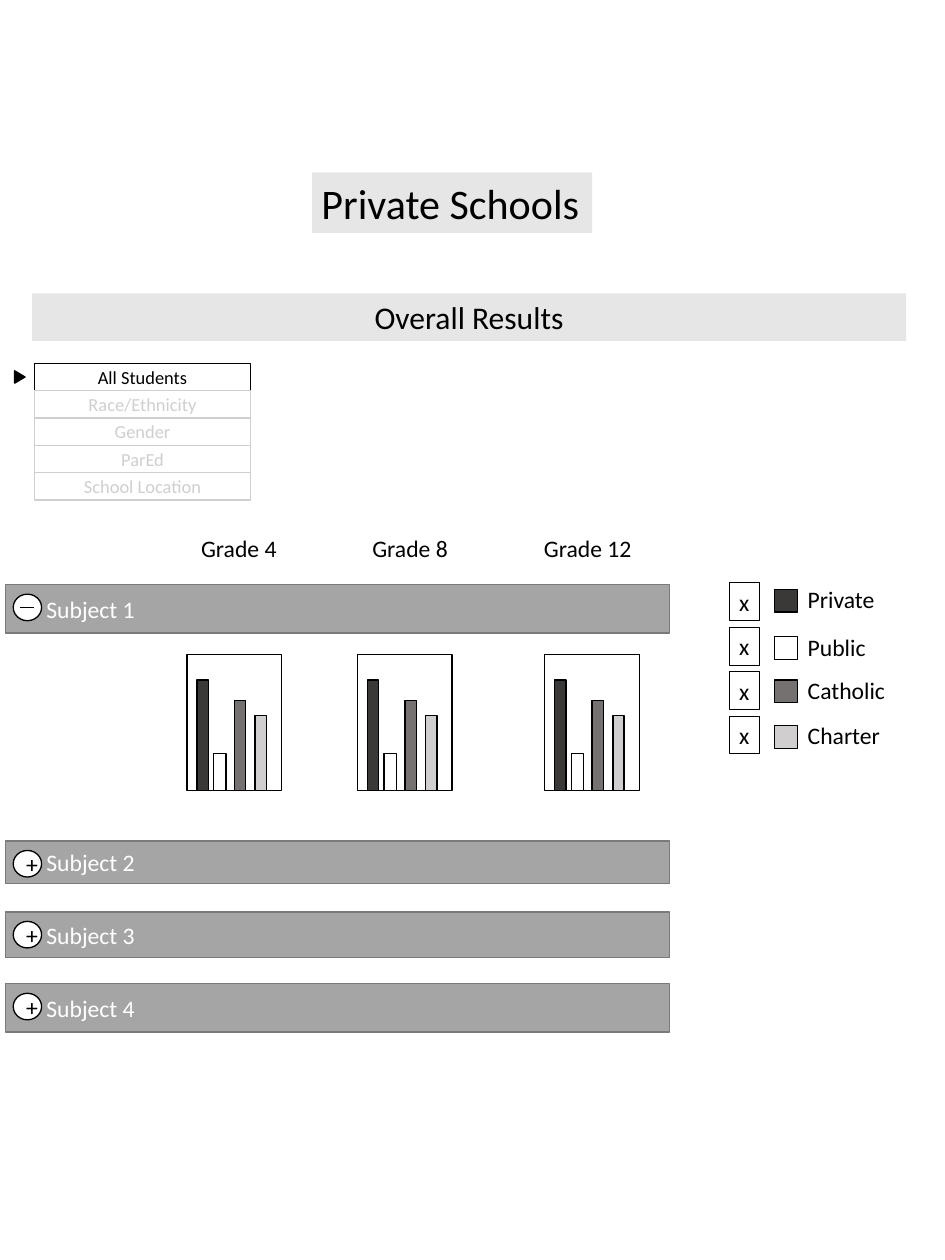
"""Build the Private Schools results dashboard slide."""
from pptx import Presentation
from pptx.dml.color import RGBColor
from pptx.enum.shapes import MSO_CONNECTOR, MSO_SHAPE as SHAPE
from pptx.enum.text import MSO_ANCHOR as ANCHOR, PP_ALIGN as ALIGN
from pptx.oxml import parse_xml
from pptx.oxml.ns import nsdecls
from pptx.util import Pt

BLACK, WHITE = "000000", "FFFFFF"
BANNER, MUTED, SUBJECT, SUBJECT_EDGE = "E7E6E6", "D0CECE", "A5A5A5", "7A7A7A"

GRADES = [("Grade 4", 153, 142.4), ("Grade 8", 283.4, 272.2), ("Grade 12", 414, 414.7)]
SUBJECTS = [("Subject 1", 445, 36.7), ("Subject 2", 640.1, 32.4),
            ("Subject 3", 694.1, 34.6), ("Subject 4", 748.8, 36.7)]
STUDENT_GROUPS = ["All Students", "Race/Ethnicity", "Gender", "ParEd", "School Location"]
SCHOOL_TYPES = [
    {"name": "Private", "color": "3B3838", "top": 448.6, "bar": (7.5, 8.6, 84.2)},
    {"name": "Public", "color": WHITE, "top": 484.6, "bar": (20.2, 9.4, 28.1)},
    {"name": "Catholic", "color": "767171", "top": 517.7, "bar": (36, 8.6, 68.4)},
    {"name": "Charter", "color": MUTED, "top": 552.2, "bar": (51.8, 8.6, 56.9)},
]
MENU_LEFT, MENU_TOP, MENU_STEP = 26.4, 276.5, 20.8
FRAME_TOP, FRAME_WIDTH, FRAME_HEIGHT = 498.2, 72, 103.5
CHECK_TOP, CHECK_STEP = 443.7, 33.8


def rgb(color):
    """Turn a hex string into a colour."""
    return RGBColor.from_string(color)


def write(shape, text, size, color=BLACK, align=ALIGN.LEFT, anchor=ANCHOR.MIDDLE,
          inset=7.2, right=7.2, wrap=True):
    """Put one formatted line of text into a shape."""
    frame = shape.text_frame
    frame.text = text
    frame.word_wrap = wrap
    frame.vertical_anchor = anchor
    frame.margin_left, frame.margin_right = Pt(inset), Pt(right)
    paragraph = frame.paragraphs[0]
    paragraph.alignment = align
    font = paragraph.runs[0].font
    font.name, font.size = "Calibri", Pt(size)
    font.color.rgb = rgb(color)


def draw(parent, kind, left, top, width, height, fill, line=None, weight=1):
    """Add a filled preset shape with an optional outline."""
    shape = parent.shapes.add_shape(kind, Pt(left), Pt(top), Pt(width), Pt(height))
    shape.shadow.inherit = False
    shape.fill.solid()
    shape.fill.fore_color.rgb = rgb(fill)
    if line:
        shape.line.color.rgb = rgb(line)
        shape.line.width = Pt(weight)
    else:
        shape.line.fill.background()
    return shape


def label(text, left, top, width, height, inset=7.2):
    """Add a plain 18-point label."""
    box = slide.shapes.add_textbox(Pt(left), Pt(top), Pt(width), Pt(height))
    write(box, text, 18, inset=inset)


presentation = Presentation()
presentation.slide_width, presentation.slide_height = Pt(719.3), Pt(959)
slide = presentation.slides.add_slide(presentation.slide_layouts[6])

title = draw(slide, SHAPE.RECTANGLE, 237.6, 131.3, 213.1, 46.1, BANNER)
write(title, "Private Schools", 32, anchor=ANCHOR.TOP, wrap=False)
heading = draw(slide, SHAPE.RECTANGLE, 24.4, 223.2, 665.3, 36.2, BANNER)
write(heading, "Overall Results", 24, align=ALIGN.CENTER, anchor=ANCHOR.TOP)

menu = slide.shapes.add_group_shape()
for index, name in enumerate(STUDENT_GROUPS):
    color = MUTED if index else BLACK
    item = draw(menu, SHAPE.RECTANGLE, MENU_LEFT, MENU_TOP + index * MENU_STEP,
                164.2, MENU_STEP, WHITE, color)
    write(item, name, 14, color, ALIGN.CENTER)
pointer = draw(menu, SHAPE.ISOSCELES_TRIANGLE, 10.4, 283, 9.4, 7.9, BLACK, BLACK)
pointer.rotation = 90

for index, (name, top, height) in enumerate(SUBJECTS):
    bar = draw(slide, SHAPE.RECTANGLE, 4.3, top, 505.4, height, SUBJECT, SUBJECT_EDGE)
    write(bar, name, 18, WHITE, inset=31)
    toggle = draw(slide, SHAPE.OVAL, 10.1, top + 7.2, 21.6, 20.2, WHITE, BLACK)
    if index:
        write(toggle, "+", 18, align=ALIGN.CENTER, inset=7, right=0, wrap=False)
    else:
        minus = slide.shapes.add_connector(
            MSO_CONNECTOR.STRAIGHT, Pt(15.1), Pt(462.2), Pt(25.9), Pt(462.2))
        minus.line.color.rgb = rgb(BLACK)
        minus.line.width = Pt(0.5)
        minus._element.spPr.append(parse_xml(f"<a:effectLst {nsdecls('a')}/>"))

for grade, label_left, frame_left in GRADES:
    label(grade, label_left, 397, 90, 40.3, inset=0)
    bars = slide.shapes.add_group_shape()
    draw(bars, SHAPE.RECTANGLE, frame_left, FRAME_TOP, FRAME_WIDTH, FRAME_HEIGHT, WHITE, BLACK)
    for school in SCHOOL_TYPES:
        offset, width, height = school["bar"]
        draw(bars, SHAPE.RECTANGLE, frame_left + offset, FRAME_TOP + FRAME_HEIGHT - height,
             width, height, school["color"], BLACK)

for index, school in enumerate(SCHOOL_TYPES):
    check = draw(slide, SHAPE.RECTANGLE, 555.6, CHECK_TOP + index * CHECK_STEP,
                 22.3, 28.8, WHITE, BLACK, 0.75)
    write(check, "x", 18, anchor=ANCHOR.TOP, wrap=False)
    draw(slide, SHAPE.RECTANGLE, 589.7, school["top"], 17.3, 17.3, school["color"], BLACK)
    label(school["name"], 607.7, school["top"] - 6.8, 90, 28.8)

presentation.save("out.pptx")
